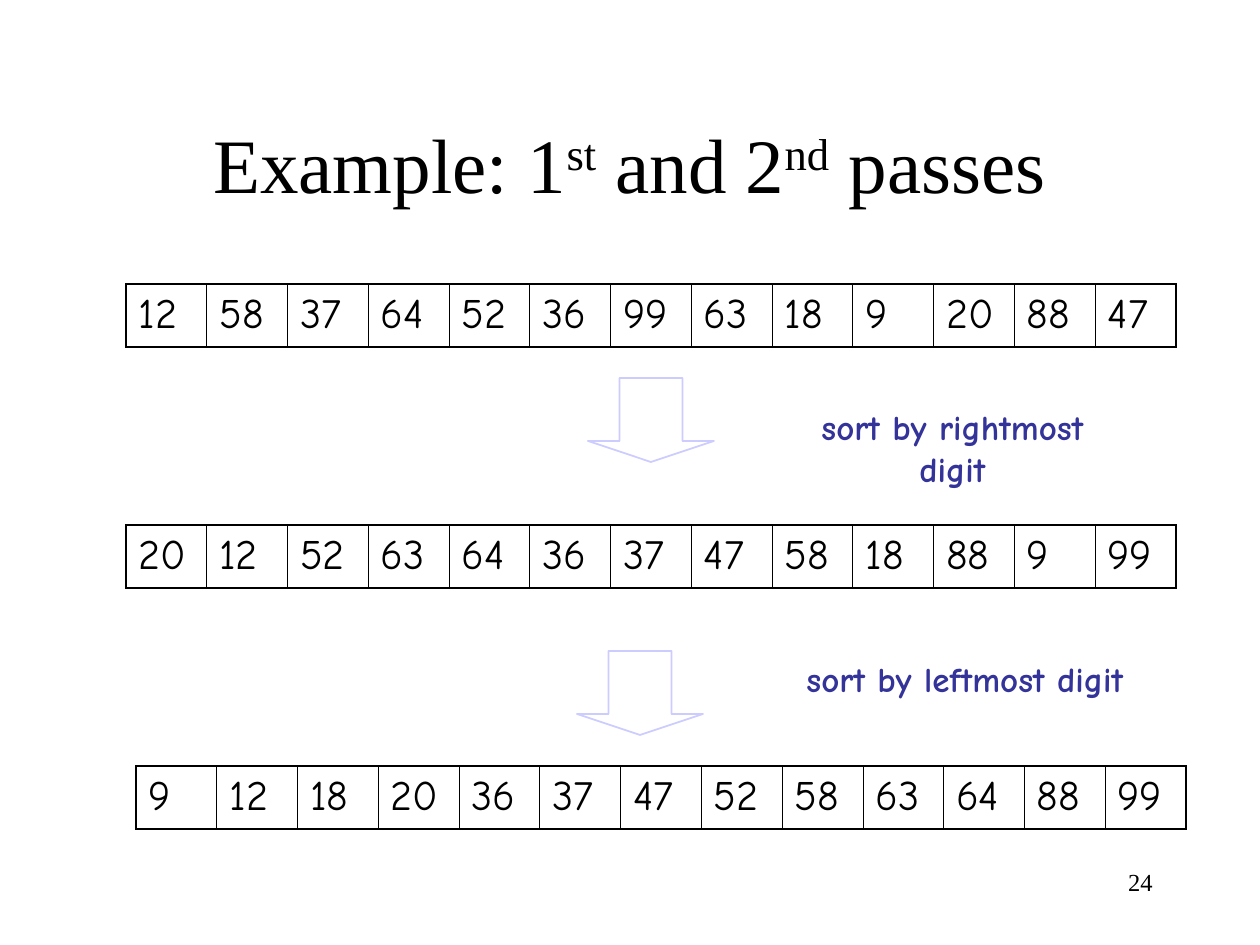
"""Build a slide that shows the two passes of a radix sort."""
from dataclasses import dataclass

from lxml import etree
from pptx import Presentation
from pptx import util as u
from pptx.dml.color import RGBColor
from pptx.enum import shapes, text
from pptx.oxml.ns import qn

SCALE = 914400 / 126


@dataclass(frozen=True)
class Theme:
    ink: str = "000000"
    note: str = "333399"
    pale: str = "CCCCFF"
    serif: str = "Times New Roman"
    hand: str = "Comic Neue"
    head: int = 44
    cell: int = 24
    label: int = 20
    page: int = 14
    thick: float = 1.08
    thin: float = 0.45


LOOK = Theme()
ALIGN = text.PP_ALIGN

ROWS = [
    (126, 284, [12, 58, 37, 64, 52, 36, 99, 63, 18, 9, 20, 88, 47]),
    (126, 525, [20, 12, 52, 63, 64, 36, 37, 47, 58, 18, 88, 9, 99]),
    (136, 766, [9, 12, 18, 20, 36, 37, 47, 52, 58, 63, 64, 88, 99]),
]
PASSES = [
    (588, 378, "sort by rightmost digit", 770, 399, 365),
    (577, 651, "sort by leftmost digit", 794, 651, 342),
]


def px(*nums):
    return [u.Emu(round(n * SCALE)) for n in nums]


def write(frame, words, font=LOOK.hand, size=LOOK.cell, color=LOOK.ink,
          bold=False, align=ALIGN.LEFT, before=0):
    """Write words in one paragraph; parts between bars are superscript."""
    para = frame.paragraphs[0]
    para.alignment = align
    para.space_before = u.Pt(before)
    for i, part in enumerate(words.split("|")):
        run = para.add_run()
        run.text = part
        run.font.name = font
        run.font.size = u.Pt(size)
        run.font.bold = bold
        run.font.color.rgb = RGBColor.from_string(color)
        if i % 2:
            run.font._element.set("baseline", "30000")


def title(slide, words, box):
    shape = slide.shapes.title
    shape.left, shape.top, shape.width, shape.height = px(*box)
    frame = shape.text_frame
    frame.auto_size = text.MSO_AUTO_SIZE.NONE
    frame.vertical_anchor = text.MSO_ANCHOR.MIDDLE
    write(frame, words, font=LOOK.serif, size=LOOK.head, align=ALIGN.CENTER)


def label(slide, words, box, wrap=False, **form):
    frame = slide.shapes.add_textbox(*px(*box)).text_frame
    frame.word_wrap = wrap
    if not wrap:
        frame.auto_size = text.MSO_AUTO_SIZE.SHAPE_TO_FIT_TEXT
    write(frame, words, **form)


def arrow(slide, left, top):
    kind = shapes.MSO_SHAPE.DOWN_ARROW
    shape = slide.shapes.add_shape(kind, *px(left, top, 126, 84))
    shape.adjustments[0] = 0.5
    shape.adjustments[1] = 0.25
    shape.shadow.inherit = False
    shape.fill.background()
    shape.line.color.rgb = RGBColor.from_string(LOOK.pale)
    shape.line.width = u.Pt(1)


def border(cell, side, width):
    props = cell._tc.get_or_add_tcPr()
    line = etree.SubElement(props, qn(f"a:ln{side}"), w=str(u.Pt(width)))
    fill = etree.SubElement(line, qn("a:solidFill"))
    etree.SubElement(fill, qn("a:srgbClr"), val=LOOK.ink)


def row(slide, left, top, nums):
    count = len(nums)
    table = slide.shapes.add_table(1, count, *px(left, top, 1050, 63)).table
    table.first_row = table.horz_banding = False
    for i, num in enumerate(nums):
        table.columns[i].width = px(1050 / count)[0]
        cell = table.cell(0, i)
        write(cell.text_frame, str(num), before=6)
        border(cell, "L", LOOK.thin if i else LOOK.thick)
        border(cell, "R", LOOK.thin if i < count - 1 else LOOK.thick)
        border(cell, "T", LOOK.thick)
        border(cell, "B", LOOK.thick)
        cell.fill.background()


def main():
    deck = Presentation()
    deck.slide_width, deck.slide_height = px(1260, 945)
    slide = deck.slides.add_slide(deck.slide_layouts[5])
    title(slide, "Example: 1|st| and 2|nd| passes", (94, 84, 1071, 158))
    label(slide, "24", (903, 861, 262, 63), wrap=True, font=LOOK.serif,
          size=LOOK.page, align=ALIGN.RIGHT)
    for left, top, nums in ROWS:
        row(slide, left, top, nums)
    for left, top, words, x, y, width in PASSES:
        arrow(slide, left, top)
        label(slide, words, (x, y, width, 55), size=LOOK.label,
              color=LOOK.note, bold=True, align=ALIGN.CENTER, before=12.5)
    deck.save("out.pptx")


if __name__ == "__main__":
    main()
